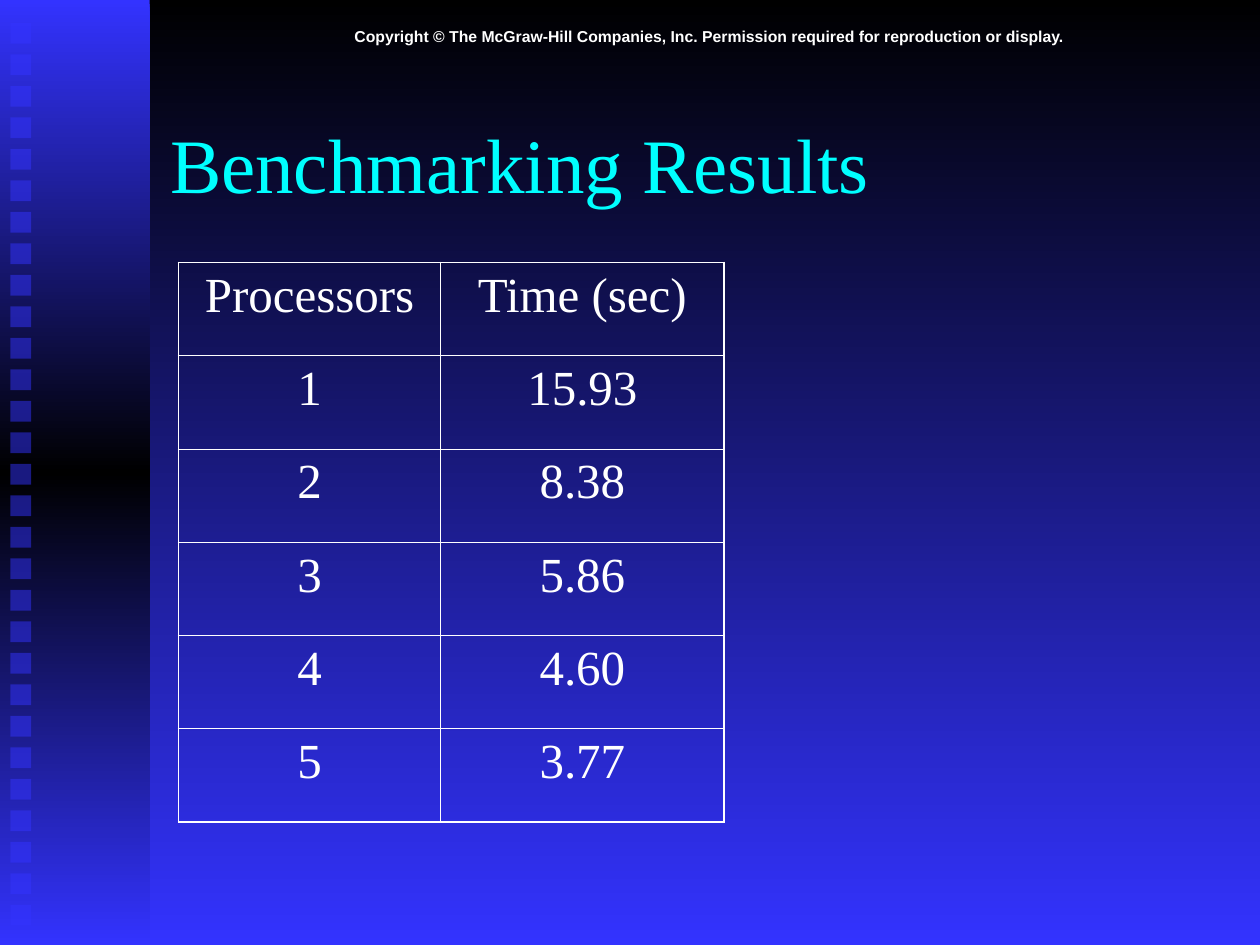
from copy import deepcopy
from lxml.etree import SubElement
from pptx import Presentation
from pptx.dml.color import RGBColor
from pptx.enum.shapes import MSO_SHAPE
from pptx.enum.text import MSO_ANCHOR, PP_ALIGN
from pptx.oxml import parse_xml
from pptx.oxml.ns import nsdecls, qn
from pptx.util import Cm, Pt

BLACK = RGBColor(0x00, 0x00, 0x00)
BLUE = RGBColor(0x33, 0x33, 0xFF)
CYAN = RGBColor(0x00, 0xFF, 0xFF)
WHITE = RGBColor(0xFF, 0xFF, 0xFF)

THICK, THIN = Pt(1.08), Pt(0.45)
ROWS = [
    ("Processors", "Time (sec)"),
    ("1", "15.93"),
    ("2", "8.38"),
    ("3", "5.86"),
    ("4", "4.60"),
    ("5", "3.77"),
]


def shade(fill, first, last):
    """Fill from top to bottom."""
    fill.gradient()
    fill.gradient_angle = 270
    for stop, color, place in zip(fill.gradient_stops, (first, last), (0, 1)):
        stop.color.rgb = color
        stop.position = place


def style(para, font, size, color, align=PP_ALIGN.LEFT, bold=False):
    para.alignment = align
    for run in para.runs:
        run.font.name = font
        run.font.size = Pt(size)
        run.font.bold = bold
        run.font.color.rgb = color


def add_rect(slide, left, top, width, height):
    rect = slide.shapes.add_shape(MSO_SHAPE.RECTANGLE, left, top, width, height)
    rect.shadow.inherit = False
    rect.line.fill.background()
    return rect


def add_rail(slide, left, top, width, height):
    # Band that fades to black in the middle
    band = add_rect(slide, left, top, width, height)
    shade(band.fill, BLUE, BLUE)
    stops = band._element.spPr.find(".//" + qn("a:gsLst"))
    stops.insert(1, deepcopy(stops[0]))
    mid = band.fill.gradient_stops[1]
    mid.position = 0.5
    mid.color.rgb = BLACK

    # Column of half-clear squares
    count, side = 29, Cm(0.42)
    first, last = top + Cm(0.46), top + Cm(18.24)
    step = (last - first) / (count - 1)
    for i in range(count):
        tile = add_rect(slide, left + Cm(0.21), round(first + i * step), side, side)
        tile.fill.solid()
        tile.fill.fore_color.rgb = BLUE
        color = tile._element.spPr.find(".//" + qn("a:srgbClr"))
        SubElement(color, qn("a:alpha"), val="50000")


def add_text(slide, text, left, top, width, height):
    frame = slide.shapes.add_textbox(left, top, width, height).text_frame
    frame.word_wrap = True
    frame.vertical_anchor = MSO_ANCHOR.MIDDLE
    frame.text = text
    return frame.paragraphs[0]


def add_edges(cell, widths):
    props = cell._tc.get_or_add_tcPr()
    for i, (side, width) in enumerate(zip("LRTB", widths)):
        props.insert(i, parse_xml(
            f'<a:ln{side} {nsdecls("a")} w="{width}"><a:solidFill>'
            f'<a:srgbClr val="{WHITE}"/></a:solidFill></a:ln{side}>'))


def add_grid(slide, left, top, width, height):
    rows, cols = len(ROWS), len(ROWS[0])
    grid = slide.shapes.add_table(rows, cols, left, top, width, height).table
    grid.first_row = grid.horz_banding = False
    grid.columns[0].width = Cm(5.28)
    grid.columns[1].width = width - Cm(5.28)
    for r, row in enumerate(ROWS):
        for c, text in enumerate(row):
            cell = grid.cell(r, c)
            cell.fill.background()
            cell.text_frame.text = text
            style(cell.text_frame.paragraphs[0], "Times New Roman", 28, WHITE,
                  PP_ALIGN.CENTER)
            # Heavier lines around the outside
            outer = (c == 0, c == cols - 1, r == 0, r == rows - 1)
            add_edges(cell, [THICK if edge else THIN for edge in outer])


def main():
    deck = Presentation()
    deck.slide_width, deck.slide_height = Cm(25.4), Cm(19.05)
    slide = deck.slides.add_slide(deck.slide_layouts[6])
    shade(slide.background.fill, BLACK, BLUE)

    add_rail(slide, 0, 0, Cm(3.02), deck.slide_height)

    # Copyright line
    note = add_text(slide, "Copyright © The McGraw-Hill Companies, Inc. "
                    "Permission required for reproduction or display.",
                    Cm(3.18), Cm(0.42), Cm(22.22), Cm(0.64))
    style(note, "Arial", 9, WHITE, PP_ALIGN.CENTER, True)

    # Title
    title = add_text(slide, "Benchmarking Results",
                     Cm(3.18), Cm(1.7), Cm(21.59), Cm(3.18))
    style(title, "Times New Roman", 44, CYAN)

    add_grid(slide, Cm(3.6), Cm(5.29), Cm(11), Cm(11.28))
    deck.save("out.pptx")


if __name__ == "__main__":
    main()
